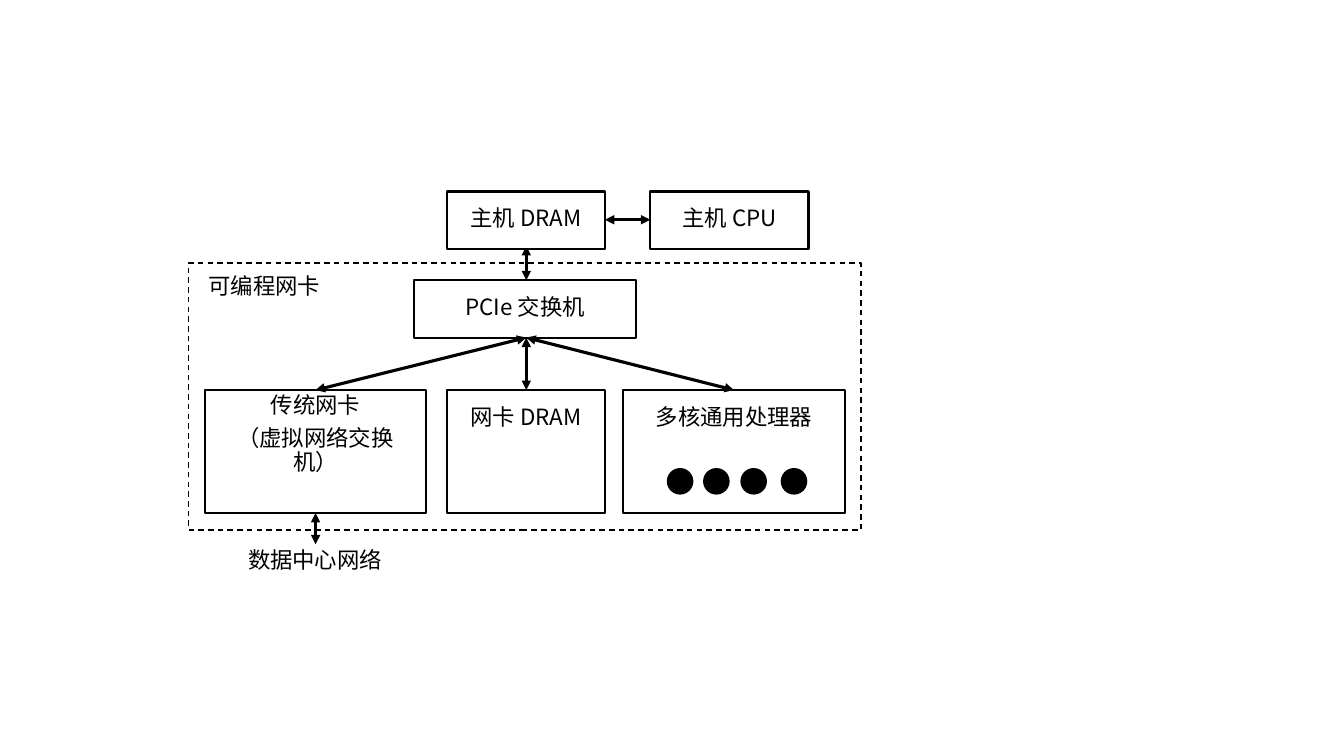
from lxml.etree import SubElement
from pptx import Presentation
from pptx.dml.color import RGBColor
from pptx.enum.dml import MSO_LINE
from pptx.enum.shapes import MSO_CONNECTOR, MSO_SHAPE
from pptx.enum.text import MSO_ANCHOR, PP_ALIGN
from pptx.oxml.ns import qn
from pptx.util import Inches, Pt

COLORS = {"ink": RGBColor.from_string("000000"),
          "paper": RGBColor.from_string("FFFFFF")}
FONT = "Noto Sans CJK SC"
MARGIN = 0.16

# Shared measures of the diagram
WIDE, NARROW = 2.2, 1.57
LOW, TALL = 0.57, 1.22
HOST_TOP, SWITCH_TOP, CARD_TOP = 1.9, 2.78, 3.87
SWITCH_BOTTOM = SWITCH_TOP + LOW
NIC_X, DRAM_X, CORES_X = 2.03, 4.43, 6.18
AXIS_X = 5.22


def write_text(s, lines, align, top=MARGIN, wrap=True):
    tf = s.text_frame
    tf.word_wrap = wrap
    tf.vertical_anchor = MSO_ANCHOR.TOP
    tf.margin_left = tf.margin_right = Inches(0.2)
    tf.margin_top, tf.margin_bottom = Inches(top), Inches(MARGIN)
    for i, line in enumerate(lines):
        p = tf.paragraphs[0] if i == 0 else tf.add_paragraph()
        p.alignment = align
        p.line_spacing = 0.9
        p.space_after = Pt(6)
        p.font.size = Pt(16)
        p.font.name = FONT
        p.font.color.rgb = COLORS["ink"]
        r = p.add_run()
        r.text = line
        # East Asian typeface for the Chinese characters
        SubElement(r._r.get_or_add_rPr(), qn("a:ea"), typeface=FONT)


def add_outline(sp, kind, x, y, w, h, fill, weight):
    s = sp.add_shape(kind, Inches(x), Inches(y), Inches(w), Inches(h))
    s.shadow.inherit = False
    if fill:
        s.fill.solid()
        s.fill.fore_color.rgb = COLORS[fill]
    else:
        s.fill.background()
    s.line.color.rgb = COLORS["ink"]
    s.line.width = Pt(weight)
    return s


def add_box(sp, lines, x, y, w, h, top=MARGIN):
    s = add_outline(sp, MSO_SHAPE.RECTANGLE, x, y, w, h, "paper", 1.5)
    write_text(s, lines, PP_ALIGN.CENTER, top)


def add_label(sp, text, x, y, w):
    s = sp.add_textbox(Inches(x), Inches(y), Inches(w), Inches(LOW))
    write_text(s, [text], PP_ALIGN.LEFT, wrap=False)


def add_arrow(sp, x1, y1, x2, y2):
    s = sp.add_connector(MSO_CONNECTOR.STRAIGHT, Inches(x1), Inches(y1),
                         Inches(x2), Inches(y2))
    s.line.color.rgb = COLORS["ink"]
    s.line.width = Pt(2.25)
    ln = s.line._get_or_add_ln()
    for end in ("a:headEnd", "a:tailEnd"):
        SubElement(ln, qn(end), type="triangle")
    SubElement(s._element.spPr, qn("a:effectLst"))


def main():
    prs = Presentation()
    prs.slide_width, prs.slide_height = Inches(13.33), Inches(7.5)
    sp = prs.slides.add_slide(prs.slide_layouts[6]).shapes

    # Multicore processor with its cores
    add_box(sp, ["多核通用处理器"], CORES_X, CARD_TOP, WIDE, TALL)
    for x in (6.62, 6.98, 7.35, 7.75):
        add_outline(sp, MSO_SHAPE.OVAL, x, 4.65, 0.25, 0.25, "ink", 1)

    # Traditional card and PCIe switch
    add_box(sp, ["传统网卡", "（虚拟网络交换机）"],
            NIC_X, CARD_TOP, WIDE, TALL, top=0.04)
    add_box(sp, ["PCIe 交换机"], 4.11, SWITCH_TOP, WIDE, LOW)

    # Links to the network, the switch and the host
    nic_mid, cores_mid = NIC_X + WIDE / 2, CORES_X + WIDE / 2
    add_arrow(sp, nic_mid, 5.4, nic_mid, CARD_TOP + TALL)
    add_label(sp, "数据中心网络", 2.26, 5.33, 1.75)
    for x in (nic_mid, AXIS_X, cores_mid):
        add_arrow(sp, x, CARD_TOP, AXIS_X, SWITCH_BOTTOM)
    add_arrow(sp, AXIS_X, SWITCH_TOP, AXIS_X, 2.44)

    # Memory and host boxes
    add_box(sp, ["网卡 DRAM"], DRAM_X, CARD_TOP, NARROW, TALL)
    add_box(sp, ["主机 DRAM"], DRAM_X, HOST_TOP, NARROW, LOW)
    add_box(sp, ["主机 CPU"], 6.45, HOST_TOP, NARROW, LOW)
    add_arrow(sp, 6.45, 2.18, DRAM_X + NARROW, 2.18)

    # Dashed frame of the programmable card
    frame = add_outline(sp, MSO_SHAPE.RECTANGLE, 1.87, 2.61, 6.67, 2.65, None, 1)
    frame.line.dash_style = MSO_LINE.DASH
    add_label(sp, "可编程网卡", 1.87, 2.61, 1.53)

    prs.save("out.pptx")


if __name__ == "__main__":
    main()
